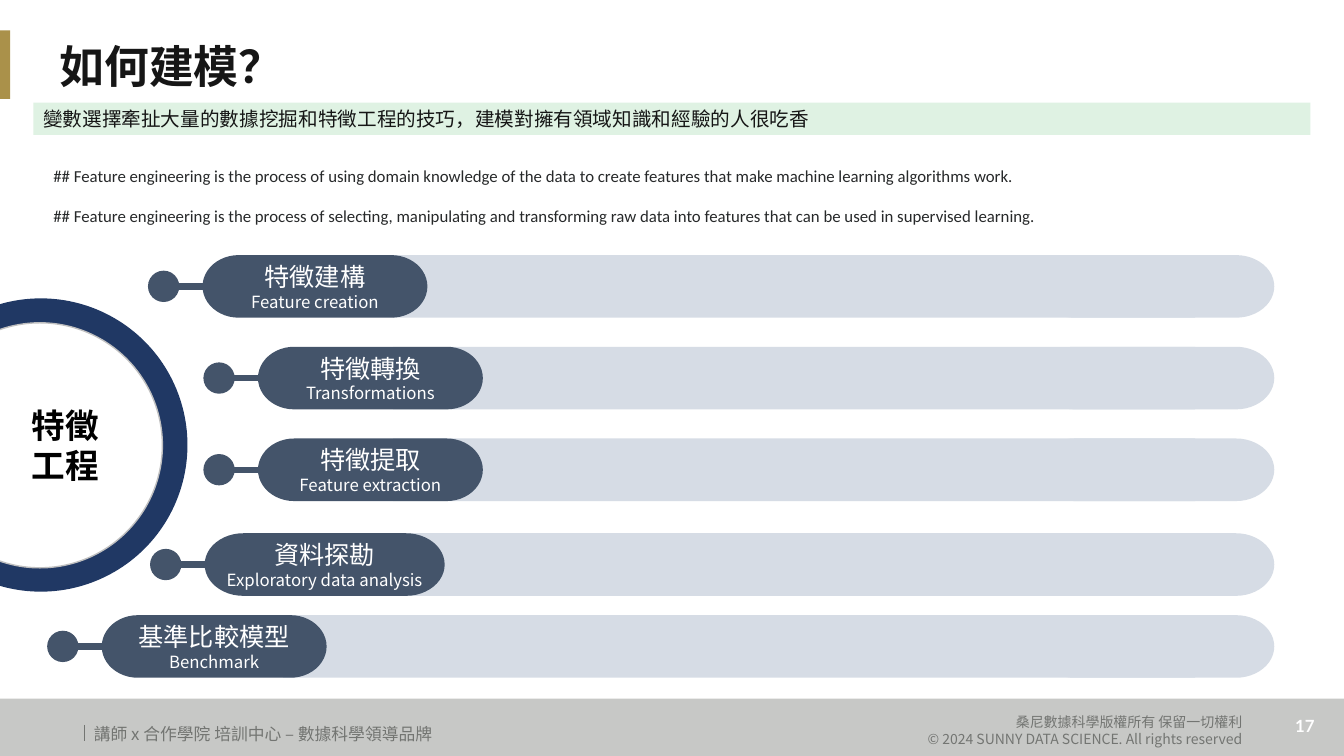
from lxml.etree import SubElement
from pptx import Presentation
from pptx.dml.color import RGBColor
from pptx.enum.shapes import MSO_CONNECTOR, MSO_SHAPE
from pptx.enum.text import MSO_ANCHOR, PP_ALIGN
from pptx.oxml.ns import qn
from pptx.util import Pt

COLORS = {
    "footer": "C7C8C6", "muted": "737572", "gold": "AA914A", "bar": "D6DCE5",
    "ink": "161616", "body": "27292A", "mint": "DFF2E3", "slate": "44546A",
    "navy": "203864", "white": "FFFFFF", "ring": "BFBFBF", "black": "000000",
}
CJK = "Noto Sans CJK SC"
STEPS = [
    ("特徵建構", "Feature creation", 144.7, 182.2, 160.6, 280.8),
    ("特徵轉換", "Transformations", 184.3, 247.7, 160.6, 280.8),
    ("特徵提取", "Feature extraction", 184.3, 313.2, 160.6, 280.8),
    ("資料探勘", "Exploratory data analysis", 146.2, 380.9, 171.4, 280.8),
    ("基準比較模型", "Benchmark", 72.7, 439.4, 160.6, 202.3),
]


def color(name):
    return RGBColor.from_string(COLORS[name])


def write(frame, lines, ink, font=CJK, bold=False, align=PP_ALIGN.LEFT, gap=0, indent=0):
    frame.word_wrap = True
    for index, (text, size) in enumerate(lines):
        para = frame.paragraphs[0] if index == 0 else frame.add_paragraph()
        para.text = text
        para.alignment = align
        if index and gap:
            para.space_before = Pt(gap)
        if indent:
            properties = para._p.get_or_add_pPr()
            properties.set("marL", str(Pt(indent)))
            properties.set("indent", "0")
        para.font.size = Pt(size)
        para.font.bold = bold
        para.font.name = font
        para.font.color.rgb = color(ink)
        defaults = para._p.pPr.find(qn("a:defRPr"))
        SubElement(defaults, qn("a:ea")).set("typeface", font)


def add_text(page, box, lines, ink, **style):
    text_box = page.shapes.add_textbox(*map(Pt, box))
    write(text_box.text_frame, lines, ink, **style)


def add_block(page, kind, box, fill, outline=None):
    block = page.shapes.add_shape(kind, *map(Pt, box))
    block.shadow.inherit = False
    block.fill.solid()
    block.fill.fore_color.rgb = color(fill)
    if outline:
        block.line.color.rgb = color(outline)
        block.line.width = Pt(1)
    else:
        block.line.fill.background()
    block.text_frame.vertical_anchor = MSO_ANCHOR.MIDDLE
    return block


def add_line(page, start, end, ink, width):
    line = page.shapes.add_connector(MSO_CONNECTOR.STRAIGHT, *map(Pt, start + end))
    line.line.color.rgb = color(ink)
    line.line.width = Pt(width)
    SubElement(line._element.spPr, qn("a:effectLst"))


def add_footer(page, left, top, width, height):
    add_block(page, MSO_SHAPE.RECTANGLE, (left, top, width, height), "footer")
    add_line(page, (left + 60, top + 18.7), (left + 60, top + 30.2), "muted", 0.5)
    add_text(page, (left + width - 42, top + 8.6, 28.1, 21.6), [("17", 12)], "white",
             font="Lato", bold=True, align=PP_ALIGN.CENTER)
    rights = ["桑尼數據科學版權所有 保留一切權利",
              "© 2024 SUNNY DATA SCIENCE. All rights reserved"]
    add_text(page, (left + 553, top + 7.2, 341.3, 31.7), [(line, 10) for line in rights],
             "muted", align=PP_ALIGN.RIGHT)
    add_text(page, (left + 60, top + 14.4, 341.3, 21.6),
             [("講師 x 合作學院 培訓中心 – 數據科學領導品牌", 12)], "muted")


def add_heading(page, left, top, width, height):
    add_block(page, MSO_SHAPE.RECTANGLE, (-2.2, top + 3, 9.4, 49), "gold")
    title = page.shapes.title
    title.left, title.top, title.width, title.height = map(Pt, (left, top, width, height))
    title.text_frame.vertical_anchor = MSO_ANCHOR.MIDDLE
    write(title.text_frame, [("如何建模？", 32)], "ink", bold=True)
    title.text_frame.paragraphs[0].line_spacing = 0.9
    banner = add_block(page, MSO_SHAPE.RECTANGLE, (left - 11.5, top + 54.7, 912.2, 23), "mint")
    message = "變數選擇牽扯大量的數據挖掘和特徵工程的技巧，建模對擁有領域知識和經驗的人很吃香"
    write(banner.text_frame, [(message, 14)], "ink")


def add_definitions(page, left, top, width, height):
    endings = [
        "using domain knowledge of the data to create features that make machine learning algorithms work.",
        "selecting, manipulating and transforming raw data into features that can be used in supervised learning.",
    ]
    lines = [(f"## Feature engineering is the process of {ending}", 12) for ending in endings]
    add_text(page, (left, top, width, height), lines, "body", font="Calibri", gap=14.4)


def add_hub(page, left, top, size):
    add_block(page, MSO_SHAPE.OVAL, (left, top, size, size), "navy")
    inner = add_block(page, MSO_SHAPE.OVAL, (left + 16.6, top + 17.5, 175, 175), "white", "ring")
    write(inner.text_frame, [("特徵", 24), ("工程", 24)], "black",
          bold=True, align=PP_ALIGN.CENTER, indent=36)


def add_step(page, name, english, left, top, width, bar_left):
    height, dot = 44.7, 22.4
    middle = top + height / 2
    add_block(page, MSO_SHAPE.RECTANGLE, (bar_left, top, 853.7 - bar_left, height), "bar")
    add_block(page, MSO_SHAPE.FLOWCHART_TERMINATOR, (740.2, top, 170, height), "bar")
    add_line(page, (left - 28, middle), (left + 18, middle), "slate", 4.5)
    pill = add_block(page, MSO_SHAPE.FLOWCHART_TERMINATOR, (left, top, width, height), "slate")
    write(pill.text_frame, [(name, 18), (english, 12)], "white", align=PP_ALIGN.CENTER)
    add_block(page, MSO_SHAPE.OVAL, (left - 39, middle - dot / 2, dot, dot), "slate")


def main():
    deck = Presentation()
    deck.slide_width, deck.slide_height = Pt(960), Pt(540)
    page = deck.slides.add_slide(deck.slide_layouts[5])
    add_footer(page, 0, 499, 960, 41)
    add_heading(page, 35.3, 18.7, 894.2, 61.2)
    add_definitions(page, 31, 114.5, 874.8, 65.5)
    add_hub(page, -75.6, 213.1, 209.5)
    for step in STEPS:
        add_step(page, *step)
    deck.save("out.pptx")


if __name__ == "__main__":
    main()
